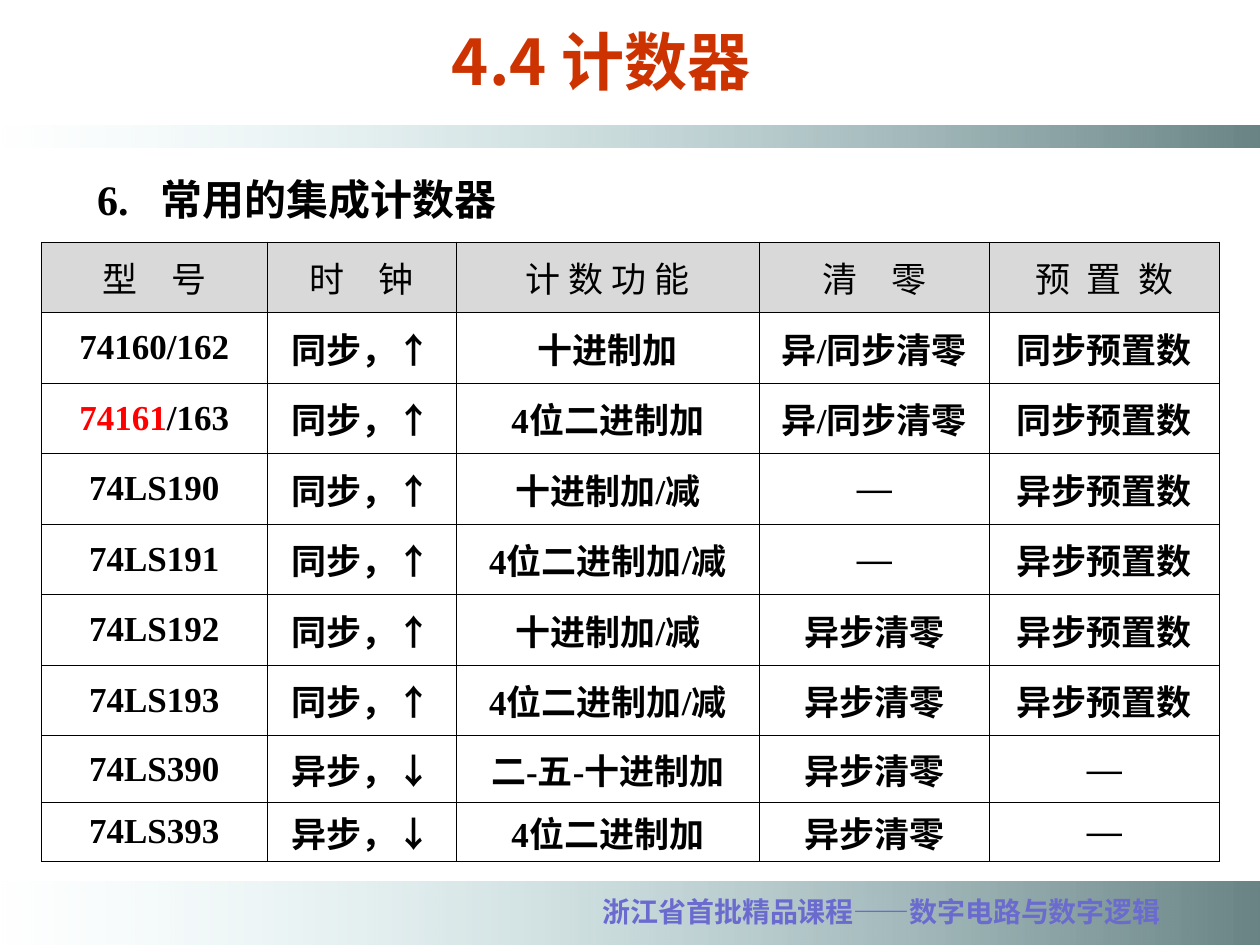
import pptx
import pptx.util
import pptx.dml.color
import pptx.enum.shapes
import pptx.enum.text
import pptx.oxml.ns
from dataclasses import dataclass
from lxml import etree

Inches, Pt = pptx.util.Inches, pptx.util.Pt
Align, Anchor = pptx.enum.text.PP_ALIGN, pptx.enum.text.MSO_ANCHOR
qn = pptx.oxml.ns.qn


@dataclass
class Theme:
    sans: str = "Noto Sans CJK SC"
    serif: str = "Times New Roman"
    title: str = "CC3300"
    ink: str = "000000"
    mark: str = "FF0000"
    foot: str = "6B6BCF"
    head: str = "D9D9D9"
    dark: str = "6A8486"
    light: str = "B8E3E6"
    big: int = 36
    mid: int = 24
    cell: int = 20
    small: int = 16
    rule: float = 0.45


theme = Theme()


def rgb(code):
    return pptx.dml.color.RGBColor.from_string(code)


def style(para, face, size, color, bold=True, align=Align.CENTER):
    para.alignment = align
    para.space_before = Pt(0)
    font = para.font
    font.name, font.size, font.bold = face, Pt(size), bold
    font.color.rgb = rgb(color)
    props = para._p.pPr.find(qn("a:defRPr"))
    etree.SubElement(props, qn("a:ea"), typeface=theme.sans)


deck = pptx.Presentation()
deck.slide_width, deck.slide_height = Inches(10), Inches(7.5)
slide = deck.slides.add_slide(deck.slide_layouts[1])
shapes = slide.shapes

# Gradient bands, fading out to the left
for top, tall in ((7, 0.5), (1, 0.17)):
    band = shapes.add_shape(pptx.enum.shapes.MSO_SHAPE.RECTANGLE,
                            Inches(0), Inches(top), Inches(10), Inches(tall))
    band.shadow.inherit = False
    band.line.fill.background()
    band.fill.gradient()
    band.fill.gradient_angle = 180
    for stop, color in zip(band.fill.gradient_stops, (theme.dark, theme.light)):
        stop.color.rgb = rgb(color)
    clear = band._element.xpath(".//a:gs[2]/a:srgbClr")[0]
    etree.SubElement(clear, qn("a:alpha"), val="0")

# Title, heading and footer
title, body = shapes.title, slide.placeholders[1]
foot = shapes.add_textbox(0, 0, 0, 0)
places = (
    (title, "4.4 计数器", (2.84, 0.17, 3.86, 0.61), Anchor.MIDDLE),
    (body, "6.\t常用的集成计数器", (0.67, 1.33, 3.75, 0.5), Anchor.TOP),
    (foot, "浙江省首批精品课程——数字电路与数字逻辑", (4.5, 7.05, 5, 0.37), Anchor.TOP),
)
for box, text, spot, anchor in places:
    box.left, box.top, box.width, box.height = map(Inches, spot)
    frame = box.text_frame
    frame.text = text
    frame.word_wrap = True
    frame.auto_size = pptx.enum.text.MSO_AUTO_SIZE.NONE
    frame.vertical_anchor = anchor

props = body.text_frame.paragraphs[0]._p.get_or_add_pPr()
props.set("marL", "0")
props.set("indent", "0")
etree.SubElement(props, qn("a:buNone"))
tabs = etree.SubElement(props, qn("a:tabLst"))
etree.SubElement(tabs, qn("a:tab"), pos=str(Inches(0.49)), algn="l")

style(title.text_frame.paragraphs[0], theme.sans, theme.big, theme.title)
style(body.text_frame.paragraphs[0], theme.serif, theme.mid, theme.ink,
      align=Align.LEFT)
style(foot.text_frame.paragraphs[0], theme.sans, theme.small, theme.foot)

# Counter table
up, down = "同步，↑", "异步，↓"
sync, load, zero = "同步预置数", "异步预置数", "异步清零"
rows = (
    ("型 号", "时 钟", "计 数 功 能", "清 零", "预 置 数"),
    ("74160/162", up, "十进制加", "异/同步清零", sync),
    ("74161/163", up, "4位二进制加", "异/同步清零", sync),
    ("74LS190", up, "十进制加/减", "—", load),
    ("74LS191", up, "4位二进制加/减", "—", load),
    ("74LS192", up, "十进制加/减", zero, load),
    ("74LS193", up, "4位二进制加/减", zero, load),
    ("74LS390", down, "二-五-十进制加", zero, "—"),
    ("74LS393", down, "4位二进制加", zero, "—"),
)
wides = (1.79, 1.5, 2.41, 1.82, 1.83)
talls = [0.56] * 7 + [0.53, 0.47]
gaps = (7.5, 7.5, 0, 7.5, 2.5)  # letter spacing of the header, in points

table = shapes.add_table(len(rows), len(wides), Inches(0.33), Inches(1.92),
                         Inches(sum(wides)), Inches(sum(talls))).table
table.first_row = table.horz_banding = False
for col, wide in zip(table.columns, wides):
    col.width = Inches(wide)
for row, tall in zip(table.rows, talls):
    row.height = Inches(tall)

for r, row in enumerate(rows):
    for c, text in enumerate(row):
        cell = table.cell(r, c)
        cell.vertical_anchor = Anchor.MIDDLE
        cell.margin_left = cell.margin_right = Inches(0.05)
        cell.margin_top = cell.margin_bottom = Inches(0.03)
        for side in ("a:lnL", "a:lnR", "a:lnT", "a:lnB"):
            edge = etree.SubElement(cell._tc.get_or_add_tcPr(), qn(side),
                                    w=str(Pt(theme.rule)))
            paint = etree.SubElement(edge, qn("a:solidFill"))
            etree.SubElement(paint, qn("a:srgbClr"), val=theme.ink)
        para = cell.text_frame.paragraphs[0]
        if text.startswith("74161"):
            run = para.add_run()
            run.text = text[:5]
            run.font.color.rgb = rgb(theme.mark)
            text = text[5:]
        run = para.add_run()
        run.text = text
        style(para, theme.serif, theme.cell, theme.ink, bold=r > 0)
        if r == 0:
            cell.fill.solid()
            cell.fill.fore_color.rgb = rgb(theme.head)
            run._r.get_or_add_rPr().set("spc", str(int(gaps[c] * 100)))
        else:
            cell.fill.background()

deck.save("out.pptx")
